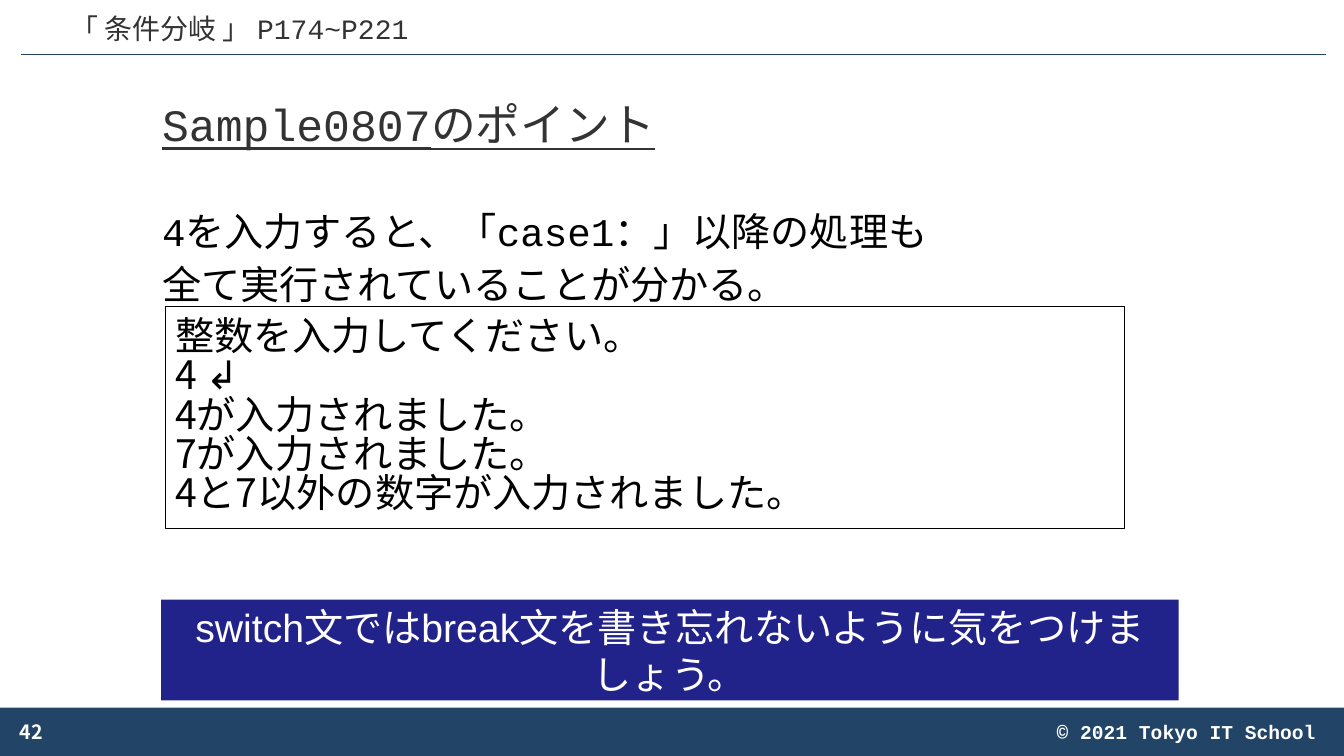
import pptx
import pptx.dml.color
import pptx.enum.shapes
import pptx.enum.text
import pptx.oxml.ns
import pptx.util
from lxml import etree

Inches = pptx.util.Inches
Pt = pptx.util.Pt
ALIGN = pptx.enum.text.PP_ALIGN
ANCHOR = pptx.enum.text.MSO_ANCHOR

MONO, SANS, JAPANESE = "Courier New", "Arial", "Noto Sans CJK JP"
NAVY, INDIGO, GREY, BLACK, WHITE = "224466", "22228B", "333333", "000000", "FFFFFF"

FOOTER_BAR = (0, 7.02, 13.34, 0.48)
HEADER_RULE = (0.21, 0.54, 13.16, 0.54)

# Each block: its place, its lines and its text style
BLOCKS = [
    dict(place=(8.34, 7.09, 4.82, 0.34), lines=["© 2021 Tokyo IT School"],
         font=MONO, size=14, color=WHITE, bold=True, align=ALIGN.RIGHT),
    dict(place=(1.51, 0.68, 10.32, 1.17), lines=["Sample0807のポイント"],
         font=MONO, size=32, color=GREY, underline=True,
         anchor=ANCHOR.MIDDLE, spacing=0.9),
    dict(place=(0.1, 7.06, 3, 0.4), lines=["42"],
         font=JAPANESE, size=14, color=WHITE, bold=True, anchor=ANCHOR.MIDDLE),
    dict(place=(1.51, 2.06, 10.32, 0.95),
         lines=["4を入力すると、「case1：」以降の処理も",
                "全て実行されていることが分かる。"],
         font=MONO, size=28, color=BLACK, spacing=0.9, before=7.5),
    dict(place=(1.64, 3.04, 9.52, 2.2),
         lines=["整数を入力してください。",
                "4 ↲",
                "4が入力されました。",
                "7が入力されました。",
                "4と7以外の数字が入力されました。"],
         font=JAPANESE, size=28, color=BLACK, anchor=ANCHOR.MIDDLE,
         align=ALIGN.JUSTIFY, spacing=Pt(28), line=BLACK),
    dict(place=(1.6, 5.95, 10.1, 1),
         lines=["switch文ではbreak文を書き忘れないように気をつけましょう。"],
         font=SANS, size=28, color=WHITE, anchor=ANCHOR.MIDDLE,
         align=ALIGN.CENTER, fill=INDIGO),
    dict(place=(0, -0.04, 4.75, 0.54), lines=["「 条件分岐 」 P174~P221"],
         font=MONO, size=20, color=GREY, anchor=ANCHOR.BOTTOM,
         align=ALIGN.CENTER, spacing=0.9),
]


def rgb(color):
    return pptx.dml.color.RGBColor.from_string(color)


def add_rectangle(slide, place, fill=None, line=None):
    shape = slide.shapes.add_shape(
        pptx.enum.shapes.MSO_SHAPE.RECTANGLE, *map(Inches, place))
    shape.shadow.inherit = False
    if fill:
        shape.fill.solid()
        shape.fill.fore_color.rgb = rgb(fill)
    else:
        shape.fill.background()
    if line:
        shape.line.color.rgb = rgb(line)
        shape.line.width = Pt(0.75)
    else:
        shape.line.fill.background()
    return shape


def add_block(slide, place, lines, font, size, color, bold=False, underline=False,
              anchor=ANCHOR.TOP, align=ALIGN.LEFT, spacing=1.0, before=0,
              fill=None, line=None):
    if fill or line:
        shape = add_rectangle(slide, place, fill, line)
    else:
        shape = slide.shapes.add_textbox(*map(Inches, place))
    frame = shape.text_frame
    frame.word_wrap = True
    frame.vertical_anchor = anchor
    frame.text = "\n".join(lines)
    for index, paragraph in enumerate(frame.paragraphs):
        paragraph.alignment = align
        paragraph.line_spacing = spacing
        paragraph.space_before = Pt(before if index else 0)
        for run in paragraph.runs:
            run.font.name = font
            run.font.size = Pt(size)
            run.font.bold = bold
            run.font.underline = underline
            run.font.color.rgb = rgb(color)


def add_rule(slide, ends, color, width):
    rule = slide.shapes.add_connector(
        pptx.enum.shapes.MSO_CONNECTOR.STRAIGHT, *map(Inches, ends))
    rule.line.color.rgb = rgb(color)
    rule.line.width = Pt(width)
    etree.SubElement(rule._element.spPr, pptx.oxml.ns.qn("a:effectLst"))


def main():
    presentation = pptx.Presentation()
    presentation.slide_width = Inches(13.34)
    presentation.slide_height = Inches(7.5)
    slide = presentation.slides.add_slide(presentation.slide_layouts[6])
    add_rectangle(slide, FOOTER_BAR, fill=NAVY)
    add_rule(slide, HEADER_RULE, NAVY, 0.5)
    for block in BLOCKS:
        add_block(slide, **block)
    presentation.save("out.pptx")


if __name__ == "__main__":
    main()
